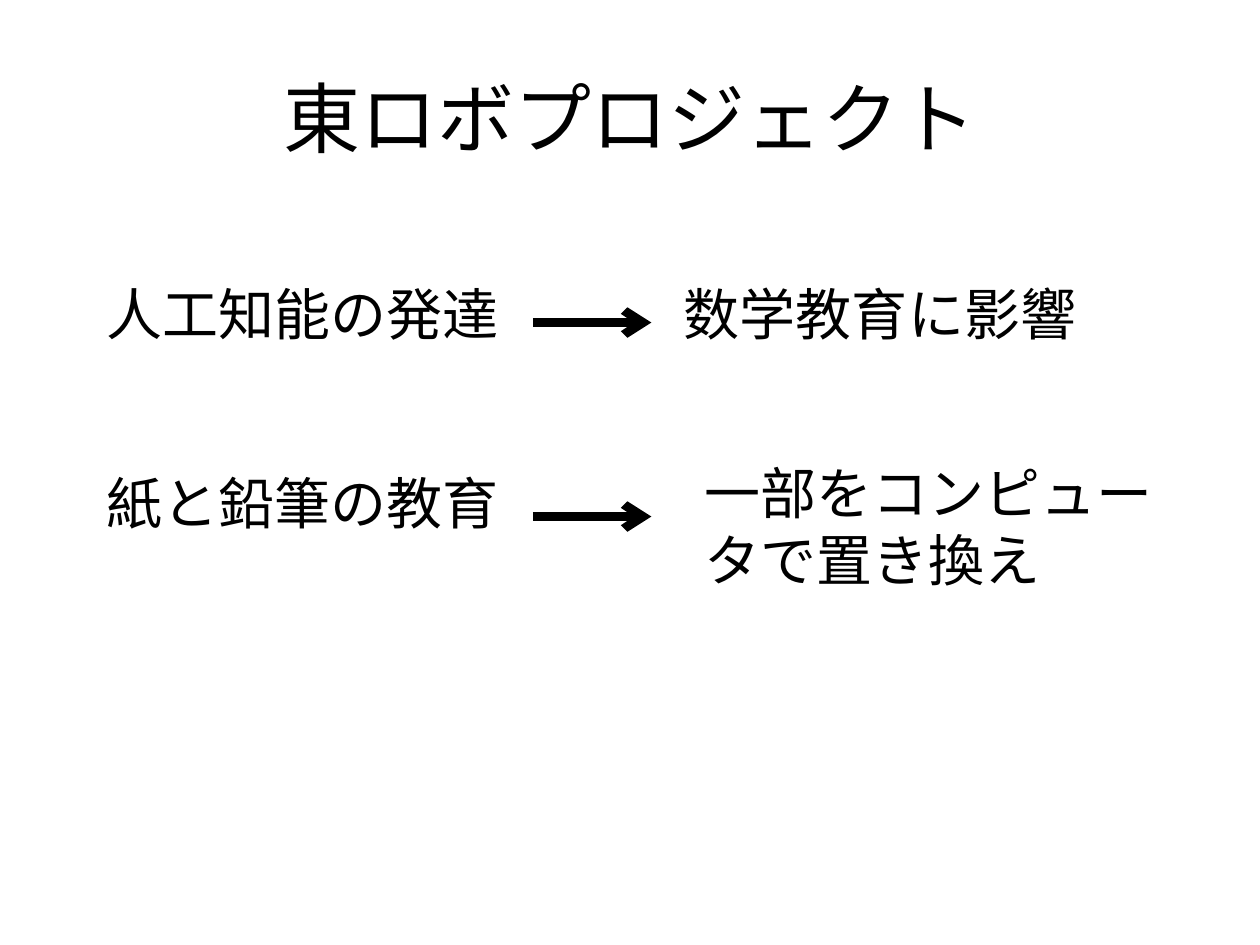
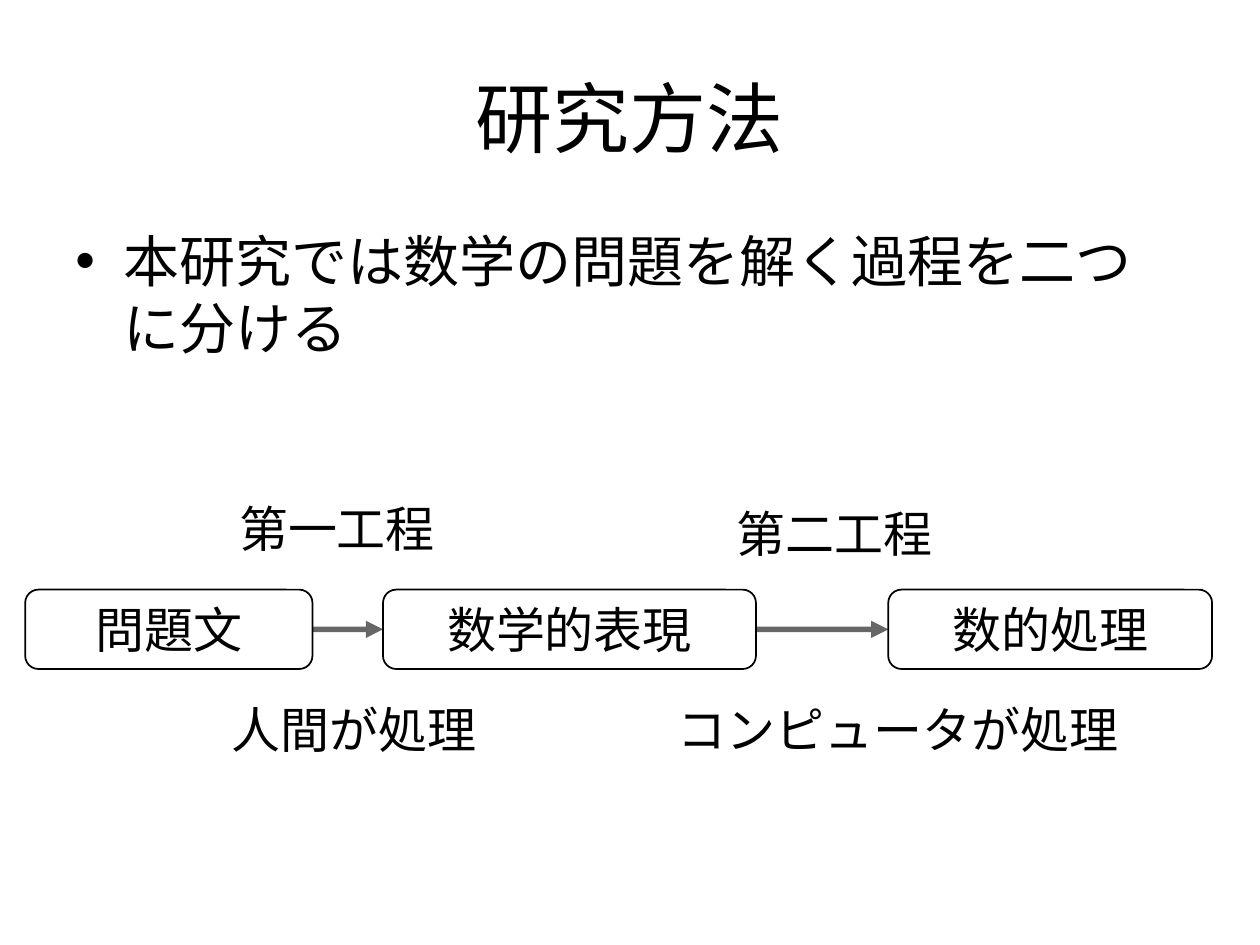
"""Build two slides on mathematics education and a two-step research method."""

import dataclasses
import itertools

import lxml.etree
import pptx
import pptx.dml.color
import pptx.enum.shapes
import pptx.enum.text
import pptx.oxml.ns
import pptx.shapes.autoshape
import pptx.shapes.connector
import pptx.slide
import pptx.util

Inches = pptx.util.Inches
BLACK = pptx.dml.color.RGBColor(0x00, 0x00, 0x00)
FONT_NAME = "Calibri"
TITLE_SIZE, BODY_SIZE, LABEL_SIZE = 44, 32, 28
CENTER = pptx.enum.text.PP_ALIGN.CENTER
MIDDLE = pptx.enum.text.MSO_ANCHOR.MIDDLE
RIGHT_SIDE, LEFT_SIDE = 3, 1
ARROW_LEFT, ARROW_RIGHT = 4.23, 5.17
STEP_TOP, STEP_HEIGHT = 4.68, 0.63


@dataclasses.dataclass(frozen=True)
class TextBlock:
    """Text with its place in inches and its size in points."""

    text: str
    left: float
    top: float
    width: float
    height: float
    size: int = BODY_SIZE
    centered: bool = False
    bulleted: bool = False
    grows: bool = False


@dataclasses.dataclass(frozen=True)
class Step:
    """One box of the process row."""

    text: str
    left: float
    width: float


@dataclasses.dataclass(frozen=True)
class ArrowStyle:
    """Line width in points, arrowhead type and opacity in percent."""

    width: float
    head: str
    opacity: int = 100


CAUSE_ARROW = ArrowStyle(5, "arrow")
STEP_ARROW = ArrowStyle(3.25, "triangle", 60)

PROJECT_TEXTS = (
    TextBlock("人工知能の発達", 0.75, 2.17, 3.78, 0.79),
    TextBlock("数学教育に影響", 5.33, 2.17, 3.78, 0.79),
    TextBlock("紙と鉛筆の教育", 0.75, 3.67, 3.78, 0.79),
    TextBlock("一部をコンピュータで置き換え", 5.49, 3.59, 4.17, 1.27),
)
CAUSE_ARROW_HEIGHTS = (2.56, 4.1)

METHOD_TEXTS = (
    TextBlock("本研究では数学の問題を解く過程を二つに分ける", 0.5, 1.75, 9, 1.53, bulleted=True),
    TextBlock("第一工程", 1.8, 3.91, 3, 0.57, LABEL_SIZE, grows=True),
    TextBlock("第二工程", 5.75, 3.95, 3, 0.57, LABEL_SIZE, grows=True),
    TextBlock("人間が処理", 1.74, 5.5, 3, 0.57, LABEL_SIZE, grows=True),
    TextBlock("コンピュータが処理", 5.28, 5.5, 3.94, 0.57, LABEL_SIZE, grows=True),
)
STEPS = (
    Step("問題文", 0.2, 2.28),
    Step("数学的表現", 3.04, 2.96),
    Step("数的処理", 7.05, 2.57),
)


def add_child(parent: lxml.etree._Element, tag: str, **attributes: str) -> lxml.etree._Element:
    """Append a DrawingML element to its parent."""
    return lxml.etree.SubElement(parent, pptx.oxml.ns.qn(tag), attributes)


def write_text(
    shape: pptx.shapes.autoshape.Shape, text: str, size: int, centered: bool, bulleted: bool = False
) -> None:
    """Write one paragraph into a shape."""
    frame = shape.text_frame
    frame.word_wrap = True
    paragraph = frame.paragraphs[0]
    if centered:
        frame.vertical_anchor = MIDDLE
        paragraph.alignment = CENTER
    if bulleted:
        properties = paragraph._p.get_or_add_pPr()
        properties.set("marL", str(Inches(0.38)))
        properties.set("indent", str(Inches(-0.38)))
        add_child(properties, "a:buFont", typeface="Arial")
        add_child(properties, "a:buChar", char="•")
    run = paragraph.add_run()
    run.text = text
    run.font.name = FONT_NAME
    run.font.size = pptx.util.Pt(size)
    run.font.color.rgb = BLACK


def add_text(slide: pptx.slide.Slide, block: TextBlock) -> None:
    """Add a text box."""
    shape = slide.shapes.add_textbox(
        Inches(block.left), Inches(block.top), Inches(block.width), Inches(block.height)
    )
    write_text(shape, block.text, block.size, block.centered, block.bulleted)
    if block.grows:
        shape.text_frame.auto_size = pptx.enum.text.MSO_AUTO_SIZE.SHAPE_TO_FIT_TEXT


def add_step(slide: pptx.slide.Slide, step: Step) -> pptx.shapes.autoshape.Shape:
    """Add a rounded process box."""
    shape = slide.shapes.add_shape(
        pptx.enum.shapes.MSO_SHAPE.ROUNDED_RECTANGLE,
        Inches(step.left), Inches(STEP_TOP), Inches(step.width), Inches(STEP_HEIGHT),
    )
    shape.shadow.inherit = False
    shape.fill.background()
    shape.line.color.rgb = BLACK
    shape.line.width = pptx.util.Pt(1)
    write_text(shape, step.text, LABEL_SIZE, centered=True)
    return shape


def add_arrow(
    slide: pptx.slide.Slide, left: float, right: float, height: float, style: ArrowStyle
) -> pptx.shapes.connector.Connector:
    """Add a horizontal arrow pointing right."""
    connector = slide.shapes.add_connector(
        pptx.enum.shapes.MSO_CONNECTOR.STRAIGHT,
        Inches(left), Inches(height), Inches(right), Inches(height),
    )
    connector.line.color.rgb = BLACK
    connector.line.width = pptx.util.Pt(style.width)
    properties = connector.element.spPr
    line = properties.find(pptx.oxml.ns.qn("a:ln"))
    if style.opacity < 100:
        color = line.find(".//" + pptx.oxml.ns.qn("a:srgbClr"))
        add_child(color, "a:alpha", val=str(style.opacity * 1000))
    add_child(line, "a:tailEnd", type=style.head)
    add_child(properties, "a:effectLst")
    return connector


def add_slide(
    presentation: pptx.presentation.Presentation, title: str, blocks: tuple[TextBlock, ...]
) -> pptx.slide.Slide:
    """Add a blank slide with its title and text boxes."""
    slide = presentation.slides.add_slide(presentation.slide_layouts[6])
    add_text(slide, TextBlock(title, 0.5, 0.3, 9, 1.25, TITLE_SIZE, centered=True))
    for block in blocks:
        add_text(slide, block)
    return slide


def add_process(slide: pptx.slide.Slide) -> None:
    """Add the process boxes and join each to the next."""
    boxes = [add_step(slide, step) for step in STEPS]
    pairs = itertools.pairwise(zip(STEPS, boxes))
    for (step, box), (next_step, next_box) in pairs:
        connector = add_arrow(
            slide, step.left + step.width, next_step.left, STEP_TOP + STEP_HEIGHT / 2, STEP_ARROW
        )
        connector.begin_connect(box, RIGHT_SIDE)
        connector.end_connect(next_box, LEFT_SIDE)


def main() -> None:
    """Build and save the presentation."""
    presentation = pptx.Presentation()
    presentation.slide_width = Inches(10)
    presentation.slide_height = Inches(7.5)
    project = add_slide(presentation, "東ロボプロジェクト", PROJECT_TEXTS)
    for height in CAUSE_ARROW_HEIGHTS:
        add_arrow(project, ARROW_LEFT, ARROW_RIGHT, height, CAUSE_ARROW)
    method = add_slide(presentation, "研究方法", METHOD_TEXTS)
    add_process(method)
    presentation.save("out.pptx")


if __name__ == "__main__":
    main()
